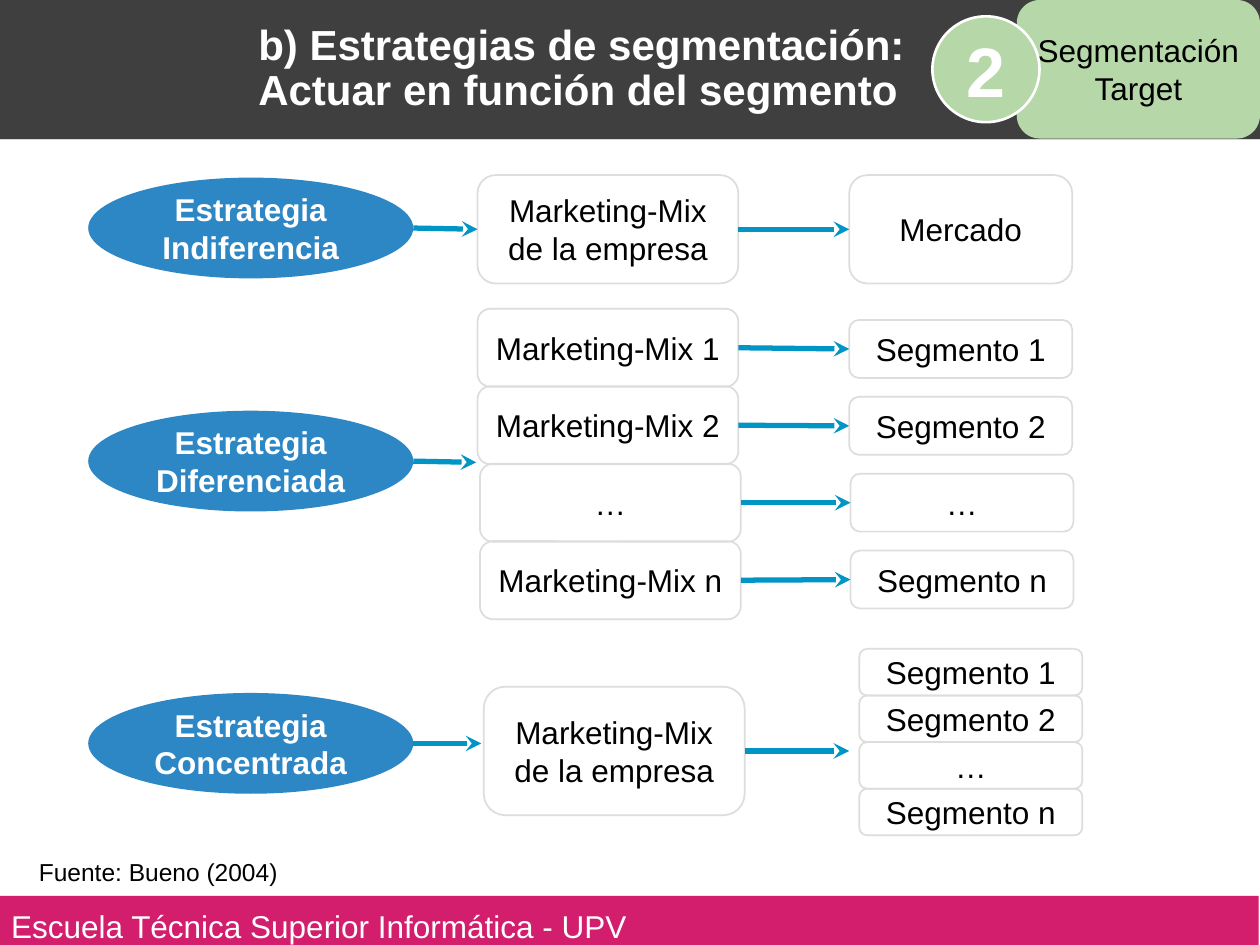
from dataclasses import dataclass

from lxml import etree
from pptx import Presentation
from pptx.dml.color import RGBColor
from pptx.enum.shapes import MSO_CONNECTOR, MSO_SHAPE
from pptx.enum.text import MSO_ANCHOR, PP_ALIGN
from pptx.oxml.ns import qn
from pptx.util import Inches, Pt

RECTANGLE = MSO_SHAPE.RECTANGLE
ROUNDED = MSO_SHAPE.ROUNDED_RECTANGLE
ELLIPSE = MSO_SHAPE.OVAL
STRAIGHT = MSO_CONNECTOR.STRAIGHT
LEFT = PP_ALIGN.LEFT
CENTER = PP_ALIGN.CENTER
TOP = MSO_ANCHOR.TOP
MIDDLE = MSO_ANCHOR.MIDDLE


@dataclass(frozen=True)
class Theme:
    font: str = "Arial"
    white: str = "FFFFFF"
    black: str = "000000"
    header: str = "3F3F3F"
    rule: str = "D7D7D7"
    footer: str = "D21E6D"
    strategy: str = "2D87C5"
    outline: str = "DDDDDD"
    arrow: str = "0095C4"
    section: str = "B6D7A8"
    source_size: int = 14
    body_size: int = 18
    title_size: int = 24
    badge_size: int = 40


THEME = Theme()
MIX_WIDTH = 2.07
SEGMENT_WIDTH = 1.77
SEGMENTS = ("Segmento 1", "Segmento 2", "…", "Segmento n")
MIXES = ("Marketing-Mix 1", "Marketing-Mix 2", "…", "Marketing-Mix n")


def set_attributes(target, values):
    for name, value in values.items():
        setattr(target, name, value)


def write_text(shape, text, size=THEME.body_size, color=THEME.black, bold=False,
               alignment=CENTER, anchor=MIDDLE, margins=(0.1, 0.05), spacing=None):
    horizontal, vertical = (Inches(margin) for margin in margins)
    frame = shape.text_frame
    set_attributes(frame, {
        "text": text, "word_wrap": True, "vertical_anchor": anchor,
        "margin_left": horizontal, "margin_right": horizontal,
        "margin_top": vertical, "margin_bottom": vertical,
    })
    for paragraph in frame.paragraphs:
        paragraph.alignment = alignment
        if spacing:
            paragraph.line_spacing = spacing
        for run in paragraph.runs:
            set_attributes(run.font, {"name": THEME.font, "size": Pt(size), "bold": bold})
            run.font.color.rgb = RGBColor.from_string(color)


def add_block(slide, kind, bounds, fill=None, line=None, line_width=1):
    shape = slide.shapes.add_shape(kind, *map(Inches, bounds))
    shape.shadow.inherit = False
    if fill:
        shape.fill.solid()
        shape.fill.fore_color.rgb = RGBColor.from_string(fill)
    else:
        shape.fill.background()
    if line:
        shape.line.color.rgb = RGBColor.from_string(line)
        shape.line.width = Pt(line_width)
    else:
        shape.line.fill.background()
    return shape


def add_box(slide, text, *bounds):
    box = add_block(slide, ROUNDED, bounds, line=THEME.outline)
    write_text(box, text)
    return box


def add_strategy(slide, text, top):
    ellipse = add_block(slide, ELLIPSE, (0.7, top, 2.58, 0.8), fill=THEME.strategy)
    write_text(ellipse, text, color=THEME.white, bold=True)
    return ellipse


def add_line(slide, start, end, color, width):
    line = slide.shapes.add_connector(STRAIGHT, *start, *end)
    line.line.color.rgb = RGBColor.from_string(color)
    line.line.width = Pt(width)
    etree.SubElement(line._element.spPr, qn("a:effectLst"))
    return line


def add_arrow(slide, start, end):
    arrow = add_line(slide, start, end, THEME.arrow, 3)
    etree.SubElement(arrow.line._get_or_add_ln(), qn("a:tailEnd"), type="stealth")


def left_middle(shape):
    return shape.left, shape.top + shape.height // 2


def right_middle(shape):
    return shape.left + shape.width, shape.top + shape.height // 2


def link(slide, source, target):
    add_arrow(slide, right_middle(source), left_middle(target))


def add_frame(slide):
    add_block(slide, RECTANGLE, (0, 0, 10, 1.11), fill=THEME.header)
    add_line(slide, (0, Inches(1.11)), (Inches(10), Inches(1.11)), THEME.rule, 0.75)
    footer = add_block(slide, RECTANGLE, (-0.01, 7.11, 10, 0.47), fill=THEME.footer)
    write_text(footer, "Escuela Técnica Superior Informática - UPV", color=THEME.white,
               alignment=LEFT, margins=(0.1, 0.1))


def add_indifference(slide):
    strategy = add_strategy(slide, "Estrategia Indiferencia", 1.41)
    mix = add_box(slide, "Marketing-Mix de la empresa", 3.79, 1.39, MIX_WIDTH, 0.86)
    market = add_box(slide, "Mercado", 6.74, 1.39, SEGMENT_WIDTH, 0.86)
    link(slide, strategy, mix)
    link(slide, mix, market)


def add_differentiated(slide):
    strategy = add_strategy(slide, "Estrategia Diferenciada", 3.26)
    for row, (mix_text, segment_text) in enumerate(zip(MIXES, SEGMENTS)):
        shift = row // 2
        mix = add_box(slide, mix_text, 3.79 + 0.02 * shift, 2.45 + 0.615 * row,
                      MIX_WIDTH, 0.62)
        segment = add_box(slide, segment_text, 6.74 + 0.01 * shift, 2.54 + 0.61 * row,
                          SEGMENT_WIDTH, 0.46)
        link(slide, mix, segment)
    add_arrow(slide, right_middle(strategy), (Inches(3.78), Inches(3.67)))


def add_concentrated(slide):
    strategy = add_strategy(slide, "Estrategia Concentrada", 5.5)
    mix = add_box(slide, "Marketing-Mix de la empresa", 3.84, 5.45, MIX_WIDTH, 1.02)
    for row, text in enumerate(SEGMENTS):
        add_box(slide, text, 6.82, 5.15 + 0.37 * row, SEGMENT_WIDTH, 0.37)
    add_arrow(slide, right_middle(strategy), (Inches(3.82), Inches(5.9)))
    add_arrow(slide, right_middle(mix), (Inches(6.74), Inches(5.96)))


def add_source(slide):
    source = slide.shapes.add_textbox(*map(Inches, (0.21, 6.75, 3.05, 0.4)))
    write_text(source, "Fuente: Bueno (2004)", size=THEME.source_size,
               alignment=LEFT, anchor=TOP)


def add_section_marker(slide):
    section = add_block(slide, ROUNDED, (8.07, 0, 1.93, 1.1), fill=THEME.section)
    write_text(section, "Segmentación\nTarget", margins=(0, 0))
    badge = add_block(slide, ELLIPSE, (7.4, 0.13, 0.85, 0.84), fill=THEME.section,
                      line=THEME.white, line_width=1.5)
    write_text(badge, "2", size=THEME.badge_size, color=THEME.white, bold=True)


def place_title(slide):
    title = slide.shapes.title
    set_attributes(title, {"left": Inches(1.95), "top": Inches(-0.05),
                           "width": Inches(5.99), "height": Inches(1.2)})
    write_text(title, "b) Estrategias de segmentación: Actuar en función del segmento",
               size=THEME.title_size, color=THEME.white, bold=True,
               alignment=LEFT, spacing=0.9)
    slide.shapes._spTree.append(title._element)


def main():
    presentation = Presentation()
    set_attributes(presentation, {"slide_width": Inches(10), "slide_height": Inches(7.5)})
    slide = presentation.slides.add_slide(presentation.slide_layouts[5])
    add_frame(slide)
    add_indifference(slide)
    add_differentiated(slide)
    add_concentrated(slide)
    add_source(slide)
    add_section_marker(slide)
    place_title(slide)
    presentation.save("out.pptx")


if __name__ == "__main__":
    main()
